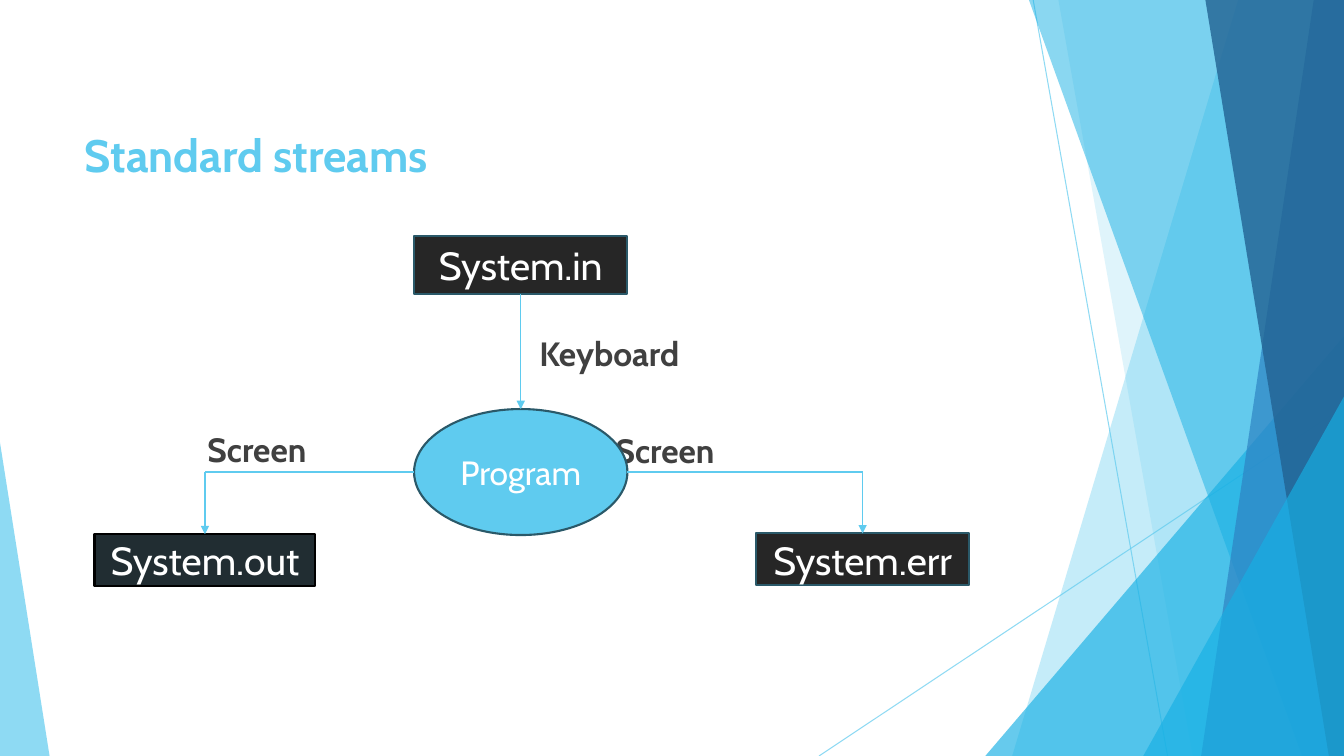
from lxml.etree import SubElement
from pptx import Presentation
from pptx.dml.color import RGBColor
from pptx.enum.shapes import MSO_CONNECTOR, MSO_SHAPE
from pptx.enum.text import MSO_ANCHOR, MSO_AUTO_SIZE, PP_ALIGN
from pptx.oxml.ns import qn
from pptx.util import Inches, Pt

CELL = Inches(1 / 12)  # the page is a grid of 160 columns by 90 rows
COLUMNS, ROWS = 160, 90
SKY, AZURE, DARK, TEAL, GRAY = "5FCBEF", "17B0E4", "262626", "2A5969", "404040"

deck = Presentation()
deck.slide_width, deck.slide_height = COLUMNS * CELL, ROWS * CELL
page = deck.slides.add_slide(deck.slide_layouts[1])
shapes = page.shapes


def cells(*counts):
    return [round(count * CELL) for count in counts]


def paint(target, color, opacity=100):
    """Give a fill or a line a solid colour, with opacity in percent."""
    fill = getattr(target, "fill", target)
    fill.solid()
    fill.fore_color.rgb = RGBColor.from_string(color)
    if opacity < 100:
        tint = fill._xPr.find(qn("a:solidFill"))[0]
        SubElement(tint, qn("a:alpha"), val=str(opacity * 1000))


# Facets at the page edges, from back to front
facets = [  # left edge at the top and at the bottom, or a triangle's frame
    ((147.4, 120.5), SKY, 36),
    ((126, 142), SKY, 20),
    ((117.3, 40, 42.7, 50), AZURE, 66),
    ((122.5, 155), AZURE, 50),
    ((156.4, 143), "2E83C3", 70),
    ((143.5, 158.2), "226292", 80),
    ((136.1, 47.2, 23.9, 42.8), AZURE, 66),
    ((0, 52.7, 5.9, 37.3), SKY, 70),
]
for place, color, opacity in facets:
    if len(place) == 2:
        top, bottom = place
        outline = shapes.build_freeform(*cells(top, 0))
        corners = [(COLUMNS, 0), (COLUMNS, ROWS), (bottom, ROWS)]
        outline.add_line_segments([cells(*corner) for corner in corners])
        facet = outline.convert_to_shape()
    else:
        facet = shapes.add_shape(MSO_SHAPE.ISOSCELES_TRIANGLE, *cells(*place))
        facet.adjustments[0] = 1 if place[0] else 0
    facet.shadow.inherit = False
    facet.line.fill.background()
    paint(facet.fill, color, opacity)

# Title and stream labels; the right-hand label shares a row with the left one
title, labels = shapes.title, page.placeholders[1]
title.left, title.top, title.width, title.height = cells(8.9, 8, 112.8, 17.3)
labels.left, labels.top, labels.width, labels.height = cells(8.9, 28.3, 112.8, 50.9)
right_label = shapes.add_textbox(*cells(72.1, 50.6, 16, 6))
for box, text, margin, size, color in [
    (title, "Standard streams", 7.1, 32.4, SKY),
    (labels, "Keyboard\nScreen", 11.3, 24, GRAY),
    (right_label, "Screen", 0.6, 24, GRAY),
]:
    frame = box.text_frame
    frame.text = text
    frame.word_wrap = True
    frame.auto_size = MSO_AUTO_SIZE.NONE
    frame.vertical_anchor = MSO_ANCHOR.TOP
    frame.margin_top = cells(margin)[0]
    for para in frame.paragraphs:
        para.alignment = PP_ALIGN.LEFT
        para.space_before = Pt(0)
        font = para.runs[0].font
        font.name, font.size, font.bold = "Cabin", Pt(size), True
        font.color.rgb = RGBColor.from_string(color)

keyboard, screen = labels.text_frame.paragraphs
screen.space_before = Pt(40)
for para, indent in [(keyboard, 54.1), (screen, 14.6)]:
    settings = para._p.get_or_add_pPr()
    settings.set("marL", str(cells(indent)[0]))
    settings.set("indent", "0")
    SubElement(settings, qn("a:buNone"))

# Program and its three streams
nodes = {}
for name, place, size, color, border in [
    ("System.in", (49.3, 28.1, 25.4, 6.9), 28, DARK, TEAL),
    ("System.out", (11.25, 63.6, 26.3, 6.2), 28, "212D32", "000000"),
    ("System.err", (90, 63.5, 25.4, 6.2), 28, DARK, TEAL),
    ("Program", (49.3, 48.7, 25.4, 15), 24, SKY, TEAL),
]:
    kind = MSO_SHAPE.OVAL if name == "Program" else MSO_SHAPE.RECTANGLE
    node = nodes[name] = shapes.add_shape(kind, *cells(*place))
    node.shadow.inherit = False
    paint(node.fill, color)
    paint(node.line, border)
    node.line.width = Pt(1.5)
    node.text_frame.vertical_anchor = MSO_ANCHOR.MIDDLE
    para = node.text_frame.paragraphs[0]
    para.alignment = PP_ALIGN.CENTER
    span = para.add_run()
    span.text = name
    span.font.name, span.font.size = "Cabin", Pt(size)
    span.font.color.rgb = RGBColor.from_string("FFFFFF")

# Thin lines behind the facets, then the flow: a straight drop and two elbows
arrows = []
for *ends, width, opacity, arrow in [
    (123, 0, 139, 90, 0.75, 70, False),
    (160, 48.4, 97.5, 90, 0.75, 70, False),
    (62, 35, 62, 48.7, 1, 100, True),
    (49.3, 56.2, 24.4, 56.2, 1, 100, False),
    (24.4, 56.2, 24.4, 63.6, 1, 100, True),
    (74.7, 56.2, 102.7, 56.2, 1, 100, False),
    (102.7, 56.2, 102.7, 63.5, 1, 100, True),
]:
    link = shapes.add_connector(MSO_CONNECTOR.STRAIGHT, *cells(*ends))
    paint(link.line, SKY, opacity)
    link.line.width = Pt(width)
    if arrow:
        SubElement(link.line._get_or_add_ln(), qn("a:tailEnd"), type="triangle")
        arrows.append(link)
    SubElement(link._element.spPr, qn("a:effectLst"))
    if opacity < 100:
        shapes._spTree.insert(2, link._element)

arrows[0].begin_connect(nodes["System.in"], 2)
for arrow, target in zip(arrows, ["Program", "System.out", "System.err"]):
    arrow.end_connect(nodes[target], 0)

deck.save("out.pptx")
